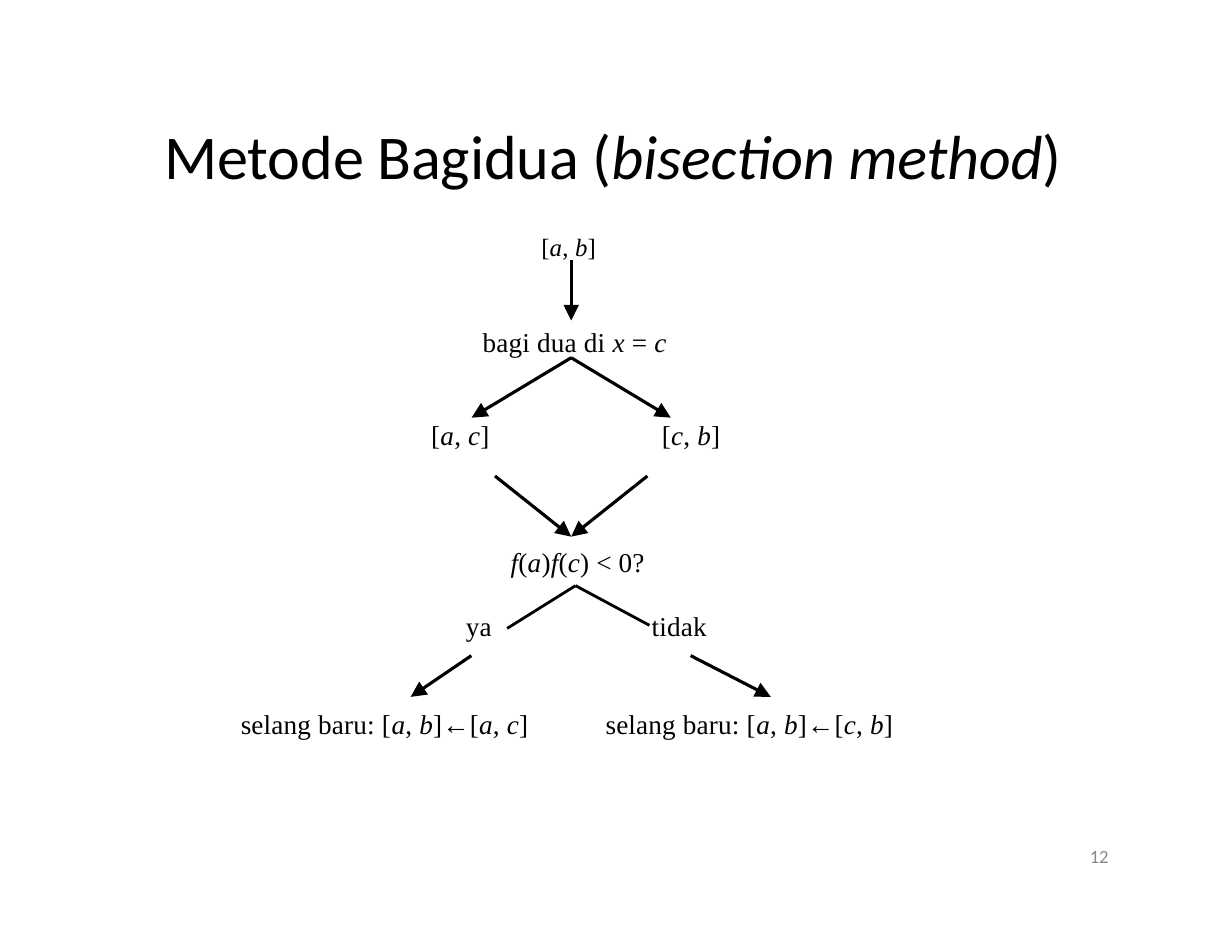
from pptx import Presentation
from pptx.dml.color import RGBColor
from pptx.enum.shapes import MSO_CONNECTOR
from pptx.util import Pt
from lxml.etree import SubElement
from pptx.oxml.ns import qn

INK = {"black": "000000", "gray": "898989"}
SERIF, SANS, SIGN = "Times New Roman", "Calibri", "Arial"

TITLE = ("Metode Bagidua (*bisection method*)", 105.8, 74.9, 590, 50)
PAGE = ("12", 700.6, 545, 20, 14)
STEPS = [
    ("[*a*, *b*]", 348, 147.6, 50, 16),
    ("bagi dua di *x *= *c*", 310.3, 207.4, 130, 17.5),
    ("[*a*, *c*]", 277.2, 267.8, 46, 17.5),
    ("[*c*, *b*]", 425.5, 267.8, 46, 17.5),
    ("*f*(*a*)*f*(*c*) < 0?", 328.3, 349.2, 96, 17.5),
    ("ya", 299.5, 390.2, 26, 17.5),
    ("tidak", 419, 390.2, 44, 17.5),
    ("selang baru: [*a*, *b*]←[*a*, *c*]", 154.8, 453.6, 196, 17.5),
    ("selang baru: [*a*, *b*]←[*c*, *b*]", 389.3, 453.6, 196, 17.5),
]
MID, FORK = 367.2, 370
ARROWS = [
    (MID, 167, MID, 206),
    (MID, 230, MID - 64, 268.5),
    (MID, 230, MID + 64, 268.5),
    (MID - 49, 306, MID, 345),
    (MID + 49, 306, MID, 345),
    (303, 421.5, 264, 448),
    (444, 421.5, 495.5, 448),
]
LINES = [(FORK, 376.5, 326, 404), (FORK, 376.5, 417.5, 402)]

deck = Presentation()
deck.slide_width, deck.slide_height = Pt(792), Pt(612)
slide = deck.slides.add_slide(deck.slide_layouts[6])


def add_text(text, left, top, width, height, size, font, ink="black",
             inset=1.4, before=1.2, gap=0):
    box = slide.shapes.add_textbox(Pt(left), Pt(top), Pt(width), Pt(height))
    frame = box.text_frame
    frame.word_wrap = True
    frame.margin_left = frame.margin_right = frame.margin_bottom = 0
    frame.margin_top = Pt(inset)
    para = frame.paragraphs[0]
    para.space_before = Pt(before)
    para.font.size = Pt(size)
    para.font.name = font
    para.font.color.rgb = RGBColor.from_string(INK[ink])
    for turn, part in enumerate(text.split("*")):
        head, sign, rest = part.partition("←")
        for piece in filter(None, (head, sign, rest)):
            run = para.add_run()
            run.text = piece
            if turn % 2:
                run.font.italic = True
            if piece == "←":
                run.font.name = SIGN
            if gap:
                run._r.get_or_add_rPr().set("spc", str(gap))
    return para


def add_line(x1, y1, x2, y2, width, arrow):
    line = slide.shapes.add_connector(
        MSO_CONNECTOR.STRAIGHT, Pt(x1), Pt(y1), Pt(x2), Pt(y2))
    line.line.width = Pt(width)
    line.line.color.rgb = RGBColor.from_string(INK["black"])
    if arrow:
        SubElement(line.line._get_or_add_ln(), qn("a:tailEnd"),
                   type="triangle", w="lg", len="lg")
    SubElement(line._element.spPr, qn("a:effectLst"))


add_text(*TITLE, 40, SANS, inset=0.7, before=0.9, gap=-10)
for text, left, top, width, size in STEPS:
    add_text(text, left, top, width, 23, size, SERIF, gap=10)
for ends in ARROWS:
    add_line(*ends, 2, True)
for ends in LINES:
    add_line(*ends, 1.8, False)
page = add_text(*PAGE, 12, SANS, "gray", inset=0, before=0)
page.line_spacing = Pt(12.4)

deck.save("out.pptx")
